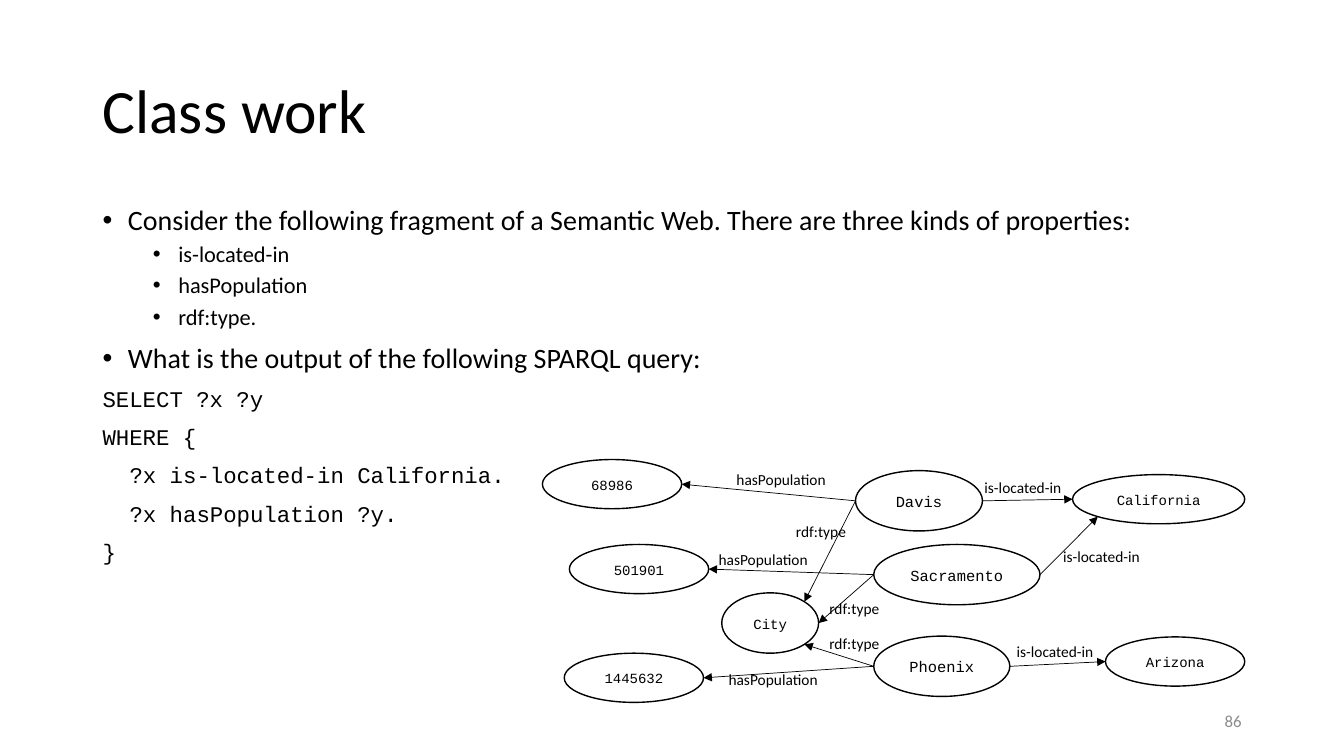
"""Build the class work slide about a SPARQL query on a small graph of cities."""
from math import cos, radians, sin

from lxml.etree import SubElement
from pptx import Presentation
from pptx.dml.color import RGBColor
from pptx.enum.shapes import MSO_CONNECTOR as Connector, MSO_SHAPE as Shape
from pptx.enum.text import MSO_ANCHOR as Anchor, MSO_AUTO_SIZE as AutoSize, PP_ALIGN as Align
from pptx.oxml.ns import qn
from pptx.util import Cm, Pt

BLACK, GREY = "000000", "8C8C8C"
SANS, MONO = "Calibri", "Courier New"
RIGHT, LOWER_RIGHT, LEFT, LOWER_LEFT, UPPER_RIGHT = 0, 45, 180, 135, -45

BODY = [
    ("point", "Consider the following fragment of a Semantic Web. There are three kinds of properties:"),
    ("subpoint", "is-located-in"),
    ("subpoint", "hasPopulation"),
    ("subpoint", "rdf:type."),
    ("point", "What is the output of the following SPARQL query:"),
    ("code", "SELECT ?x ?y"),
    ("code", "WHERE {"),
    ("nested code", "?x is-located-in California."),
    ("nested code", "?x hasPopulation ?y."),
    ("code", "}"),
]
# style: level, left margin, first-line indent, space before, size, font
BODY_STYLES = {
    "point": (0, 0.64, -0.64, 10, 20, SANS),
    "subpoint": (1, 1.91, -0.64, 5, 16, SANS),
    "code": (0, 0, 0, 10, 16, MONO),
    "nested code": (0, 0.68, 0, 10, 16, MONO),
}
# node: left, top, width, height, text size
NODES = {
    "Davis": (21.56, 11.86, 3.2, 1.52, 11),
    "Sacramento": (22.02, 13.72, 4.19, 1.52, 11),
    "Phoenix": (22.02, 16.03, 3.43, 1.52, 11),
    "City": (18.19, 14.94, 2.44, 1.52, 10),
    "California": (27.03, 11.96, 4.34, 1.24, 10),
    "Arizona": (27.86, 16.05, 3.51, 1.24, 10),
    "68986": (13.67, 11.58, 3.51, 1.24, 10),
    "501901": (14.35, 13.72, 3.51, 1.24, 10),
    "1445632": (14.22, 16.46, 3.51, 1.24, 10),
}
# edge: start node, start angle, end node, end angle, label, label left, label top
EDGES = [
    ("Davis", RIGHT, "California", LEFT, "is-located-in", 24.56, 11.91),
    ("Sacramento", RIGHT, "California", LOWER_LEFT, "is-located-in", 26.54, 13.64),
    ("Phoenix", RIGHT, "Arizona", LEFT, "is-located-in", 25.37, 16.03),
    ("Davis", LEFT, "68986", RIGHT, "hasPopulation", 18.31, 11.71),
    ("Sacramento", LEFT, "501901", RIGHT, "hasPopulation", 17.86, 13.72),
    ("Phoenix", LEFT, "1445632", RIGHT, "hasPopulation", 18.11, 16.74),
    ("Davis", LEFT, "City", UPPER_RIGHT, "rdf:type", 19.81, 13),
    ("Sacramento", LEFT, "City", RIGHT, "rdf:type", 20.65, 14.96),
    ("Phoenix", LEFT, "City", LOWER_RIGHT, "rdf:type", 20.65, 15.82),
]
LABEL_WIDTHS = {"is-located-in": 2.46, "hasPopulation": 2.79, "rdf:type": 1.8}


def color(hex_string):
    return RGBColor.from_string(hex_string)


def place(shape, left, top, width, height):
    shape.left, shape.top = Cm(left), Cm(top)
    shape.width, shape.height = Cm(width), Cm(height)


def style(para, size, font=SANS, hex_string=BLACK, align=Align.LEFT, spacing=1.0):
    para.font.size, para.font.name = Pt(size), font
    para.font.color.rgb = color(hex_string)
    para.alignment, para.line_spacing = align, spacing


def set_bullet(para, margin, indent, bulleted):
    properties = para._p.get_or_add_pPr()
    properties.set("marL", str(Cm(margin)))
    properties.set("indent", str(Cm(indent)))
    if bulleted:
        SubElement(properties, qn("a:buFont"), typeface="Arial")
        SubElement(properties, qn("a:buChar"), char="•")
    else:
        SubElement(properties, qn("a:buNone"))


def fill_title(title):
    place(title, 2.33, 1.01, 29.21, 3.68)
    frame = title.text_frame
    frame.text = "Class work"
    frame.vertical_anchor, frame.auto_size = Anchor.MIDDLE, AutoSize.NONE
    style(frame.paragraphs[0], 44, spacing=0.9)


def fill_body(body):
    place(body, 2.33, 5.07, 29.21, 12.09)
    frame = body.text_frame
    frame.text = "\n".join(text for _, text in BODY)
    frame.vertical_anchor, frame.auto_size = Anchor.TOP, AutoSize.NONE
    for para, (kind, _) in zip(frame.paragraphs, BODY):
        level, margin, indent, before, size, font = BODY_STYLES[kind]
        para.level = level
        style(para, size, font, spacing=0.9)
        para.space_before, para.space_after = Pt(before), Pt(0)
        set_bullet(para, margin, indent, bulleted=font == SANS)


def add_text(slide, text, left, top, width, height, size, **look):
    box = slide.shapes.add_textbox(Cm(left), Cm(top), Cm(width), Cm(height))
    frame = box.text_frame
    frame.text, frame.word_wrap = text, False
    style(frame.paragraphs[0], size, **look)
    return frame


def add_node(slide, name):
    left, top, width, height, size = NODES[name]
    node = slide.shapes.add_shape(Shape.OVAL, Cm(left), Cm(top), Cm(width), Cm(height))
    node.shadow.inherit = False
    node.fill.background()
    node.line.color.rgb, node.line.width = color(BLACK), Pt(1)
    frame = node.text_frame
    frame.text, frame.word_wrap = name, False
    frame.vertical_anchor = Anchor.MIDDLE
    style(frame.paragraphs[0], size, MONO, align=Align.CENTER, spacing=1.05)


def rim_point(name, angle):
    left, top, width, height, _ = NODES[name]
    turn = radians(angle)
    return Cm(left + width / 2 * (1 + cos(turn))), Cm(top + height / 2 * (1 + sin(turn)))


def add_edge(slide, start, start_angle, end, end_angle, label, left, top):
    arrow = slide.shapes.add_connector(
        Connector.STRAIGHT, *rim_point(start, start_angle), *rim_point(end, end_angle))
    arrow.line.color.rgb, arrow.line.width = color(BLACK), Pt(0.5)
    SubElement(arrow.line._get_or_add_ln(), qn("a:tailEnd"), type="triangle")
    SubElement(arrow._element.spPr, qn("a:effectLst"))
    add_text(slide, label, left, top, LABEL_WIDTHS[label], 0.74, 11, spacing=1.05)


def main():
    deck = Presentation()
    deck.slide_width, deck.slide_height = Cm(33.87), Cm(19.05)
    page = deck.slides.add_slide(deck.slide_layouts[1])
    fill_title(page.shapes.title)
    fill_body(page.placeholders[1])
    number = add_text(page, "86", 23.92, 17.66, 7.62, 1.01, 12, hex_string=GREY, align=Align.RIGHT)
    number.word_wrap, number.vertical_anchor = True, Anchor.MIDDLE
    for name in NODES:
        add_node(page, name)
    for edge in EDGES:
        add_edge(page, *edge)
    deck.save("out.pptx")


if __name__ == "__main__":
    main()
